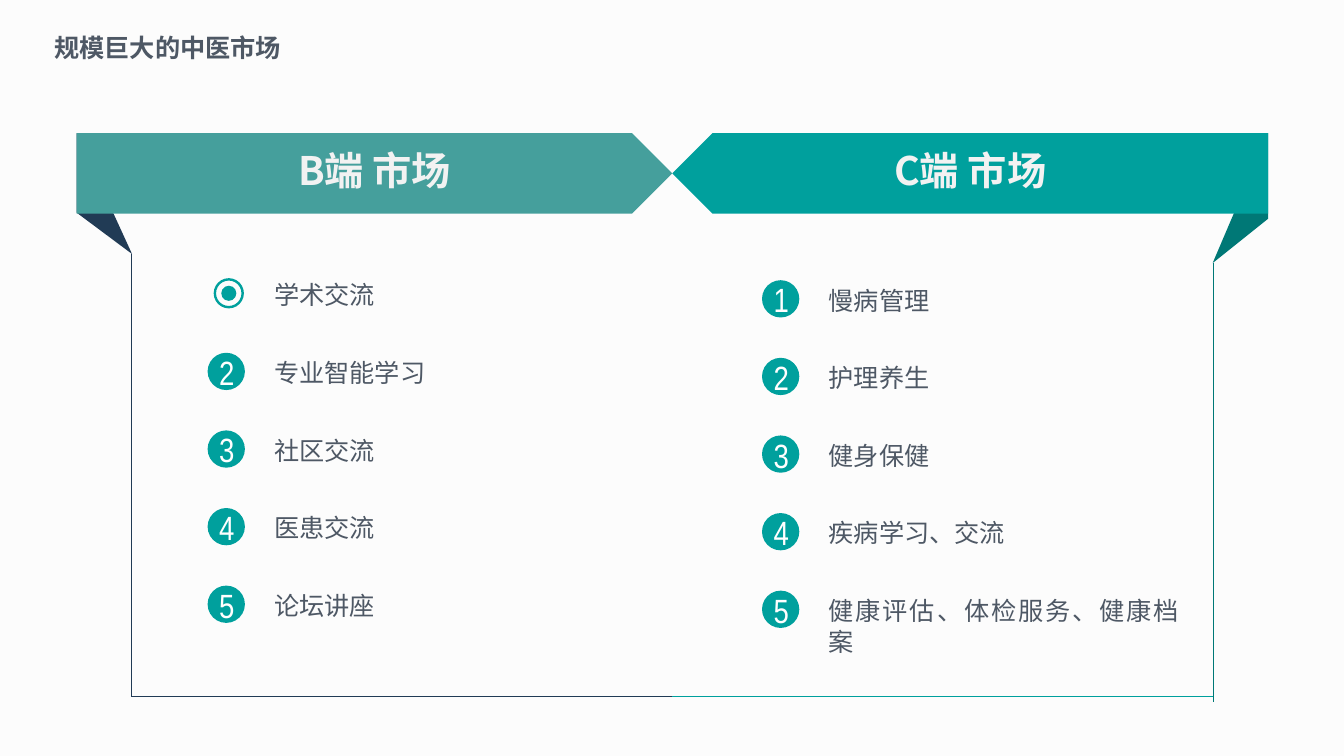
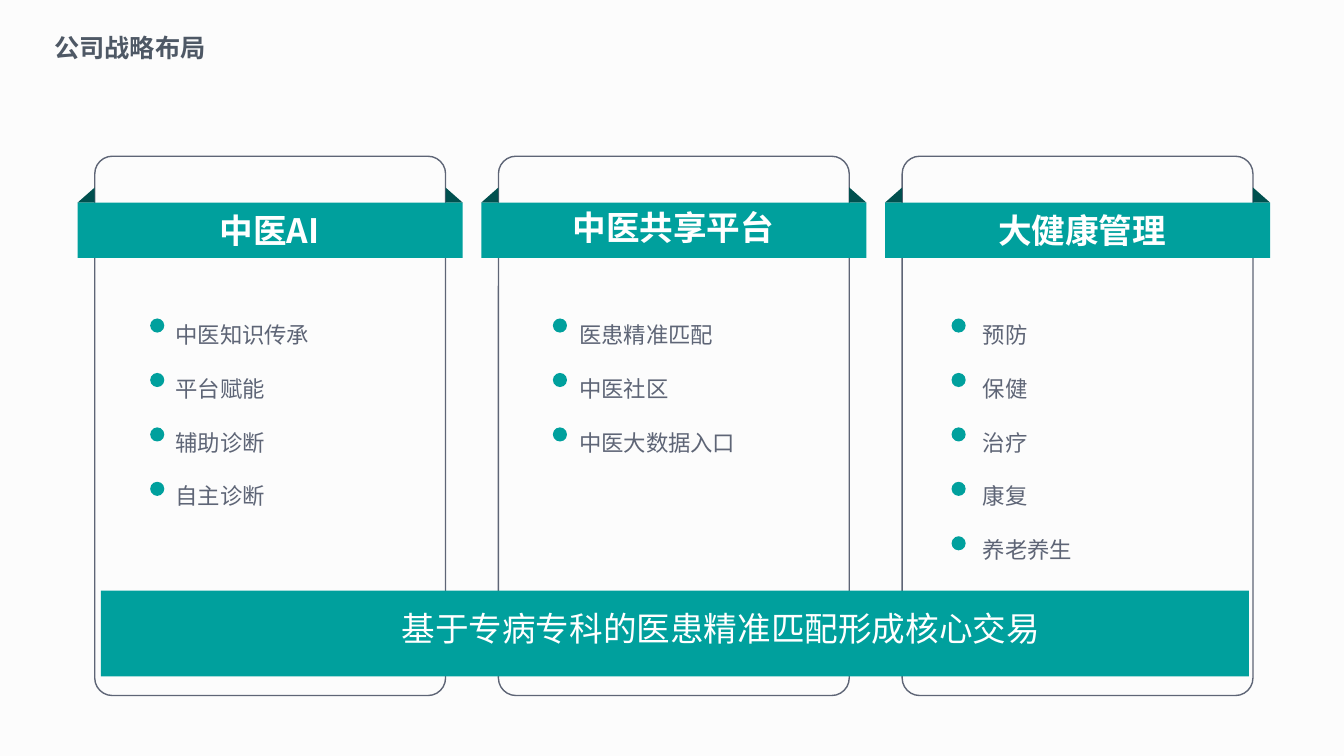
from collections import namedtuple

from lxml.etree import SubElement
from pptx import Presentation
from pptx.dml.color import RGBColor
from pptx.enum.shapes import MSO_CONNECTOR, MSO_SHAPE
from pptx.enum.text import MSO_AUTO_SIZE, PP_ALIGN
from pptx.oxml.ns import qn
from pptx.util import Inches, Pt

# Grid: square cells, 75 rows high
COLS, ROWS = 133.33, 75
CELL = Inches(0.1)

TEAL = RGBColor(0x00, 0xA0, 0x9D)
SAGE = RGBColor(0x45, 0x9F, 0x9C)
DEEP = RGBColor(0x00, 0x78, 0x76)
DARK = RGBColor(0x00, 0x50, 0x4F)
NAVY = RGBColor(0x21, 0x3B, 0x55)
INK = RGBColor(0x4E, 0x58, 0x65)
SLATE = RGBColor(0x5E, 0x65, 0x76)
PALE = RGBColor(0xF2, 0xF2, 0xF2)
MIST = RGBColor(0xFC, 0xFC, 0xFC)
WHITE = RGBColor(0xFF, 0xFF, 0xFF)

SANS = "Noto Sans CJK SC"
LEFT, MID, JUST = PP_ALIGN.LEFT, PP_ALIGN.CENTER, PP_ALIGN.JUSTIFY

Box = namedtuple("Box", "x y w h")
# Side: direction inwards, colours, fold depth and outer drop, list start
Side = namedtuple("Side", "turn fill fold rule tip foot end list_x list_y")


def cells(*sizes):
    return [int(size * CELL) for size in sizes]


def paint(shape, fill=None, line=None):
    shape.shadow.inherit = False
    if fill is None:
        shape.fill.background()
    else:
        shape.fill.solid()
        shape.fill.fore_color.rgb = fill
    if line is None:
        shape.line.fill.background()
    else:
        shape.line.color.rgb = line
        shape.line.width = Pt(1)
    return shape


def draw(slide, kind, x, y, w, h, fill=None, line=None):
    shape = slide.shapes.add_shape(kind, *cells(x, y, w, h))
    return paint(shape, fill, line)


def facet(slide, points, fill):
    first, *rest = [cells(*point) for point in points]
    maker = slide.shapes.build_freeform(*first)
    maker.add_line_segments(rest, close=True)
    paint(maker.convert_to_shape(), fill)


def rule(slide, x1, y1, x2, y2, color):
    line = slide.shapes.add_connector(MSO_CONNECTOR.STRAIGHT,
                                      *cells(x1, y1, x2, y2))
    line.line.color.rgb = color
    line.line.width = Pt(0.5)
    SubElement(line._element.spPr, qn("a:effectLst"))


def text(slide, x, y, w, h, *lines, size=18, color=INK, font=SANS,
         bold=False, align=LEFT, space=None, inset=(0, 0), wrap=True):
    box = slide.shapes.add_textbox(*cells(x, y, w, h))
    frame = box.text_frame
    frame.word_wrap = wrap
    frame.auto_size = MSO_AUTO_SIZE.SHAPE_TO_FIT_TEXT
    frame.margin_left = frame.margin_right = cells(inset[0])[0]
    frame.margin_top = frame.margin_bottom = cells(inset[1])[0]
    for i, words in enumerate(lines):
        para = frame.add_paragraph() if i else frame.paragraphs[0]
        para.alignment = align
        para.line_spacing = space
        run = para.add_run()
        run.text = words
        run.font.size = Pt(size)
        run.font.bold = bold
        run.font.color.rgb = color
        run.font.name = font
        SubElement(run._r.get_or_add_rPr(), qn("a:ea"), typeface=SANS)


def start(deck, title):
    slide = deck.slides.add_slide(deck.slide_layouts[6])
    text(slide, 4.4, 2.7, 24.7, 4, title, font="Arial", bold=True,
         inset=(1, 0.5), wrap=False)
    return slide


def badge(slide, x, y, mark):
    if mark:
        draw(slide, MSO_SHAPE.OVAL, x, y, 3.7, 3.7, TEAL)
        text(slide, x + 0.4, y - 0.1, 3, 4, mark, size=24, color=WHITE,
             font="Arial Narrow", align=MID)
    else:  # target icon
        x, y = x + 0.6, y + 0.3
        ring = draw(slide, MSO_SHAPE.DONUT, x, y, 3, 3, TEAL)
        ring.adjustments[0] = 0.08
        draw(slide, MSO_SHAPE.OVAL, x + 0.75, y + 0.75, 1.5, 1.5, TEAL)


def market(slide, box, side, head, marks, items):
    edge = box.x if side.turn > 0 else box.x + box.w
    inner = edge + side.turn * box.w
    wall = edge + side.turn * 5.45
    base = box.y + box.h

    # Folded corner and frame
    tip = edge + side.turn * 5.5, box.y + side.tip
    facet(slide, [(edge, box.y), tip, (edge, box.y + side.foot)], side.fold)
    rule(slide, wall, box.y + side.tip, wall, base + side.end, side.fold)
    rule(slide, wall, base, inner, base, side.rule)

    # Banner
    arrow = draw(slide, MSO_SHAPE.PENTAGON, box.x, box.y, box.w, 8, side.fill)
    arrow.rotation = 0 if side.turn > 0 else 180
    text(slide, box.x + (box.w - 20.2) / 2, box.y + 0.8, 20.2, 5.7, head,
         size=28, color=PALE, bold=True, align=MID, inset=(1, 0.5))

    # List
    x = box.x + side.list_x
    for i, (mark, item) in enumerate(zip(marks, items)):
        y = box.y + side.list_y + 7.7 * i
        badge(slide, x, y, mark)
        text(slide, x + 6.6, y + 0.4, 34.8, 2.9, item, align=JUST,
             space=Pt(22))


def card(slide, box, head, items, head_at, dot_x):
    right = box.x + box.w
    top = box.y + 4.6
    frame = draw(slide, MSO_SHAPE.ROUNDED_RECTANGLE, *box, line=SLATE)
    frame.adjustments[0] = 0.05

    # Ribbon with folded ears
    for side, out in ((box.x, -1.7), (right, 1.7)):
        facet(slide, [(side, top - 1.5), (side, top), (side + out, top)], DARK)
    draw(slide, MSO_SHAPE.RECTANGLE, box.x - 1.7, top, box.w + 3.4, 5.5, TEAL)
    dx, dy = head_at
    text(slide, box.x + dx, box.y + dy, 29.3, 4, head, size=24, color=WHITE,
         bold=True, align=MID)

    # Dotted list
    text(slide, box.x + 8, box.y + 13.7, 19.3, 5.4 * len(items), *items,
         size=16, color=SLATE, align=JUST, space=2.0)
    for i in range(len(items)):
        draw(slide, MSO_SHAPE.OVAL, box.x + dot_x, box.y + 16.1 + 5.4 * i,
             1.4, 1.4, TEAL)


def footer(slide, box, words):
    draw(slide, MSO_SHAPE.RECTANGLE, *box, TEAL)
    text(slide, box.x + 28.1, box.y + 2.2, 66.8, 3.5, words, size=24,
         color=WHITE, align=MID, space=Pt(25.2))


def markets(deck):
    slide = start(deck, "规模巨大的中医市场")
    half = Box(7.6, 13.2, 59.1, 55.9)
    market(slide, half,
           Side(1, SAGE, NAVY, NAVY, 12, 7.9, 0, 13, 14.1),
           "B端 市场", ["", *"2345"],
           ["学术交流", "专业智能学习", "社区交流", "医患交流", "论坛讲座"])
    market(slide, half._replace(x=half.x + half.w),
           Side(-1, TEAL, DEEP, TEAL, 12.9, 8.5, 0.5, 8.9, 14.6),
           "C端 市场", "12345",
           ["慢病管理", "护理养生", "健身保健", "疾病学习、交流",
            "健康评估、体检服务、健康档案"])


def layout(deck):
    slide = start(deck, "公司战略布局")
    plans = [
        ("中医AI", ["中医知识传承", "平台赋能", "辅助诊断", "自主诊断"],
         (2.7, 5.3), 5.5),
        ("中医共享平台", ["医患精准匹配", "中医社区", "中医大数据入口"],
         (2.7, 5), 5.4),
        ("大健康管理", ["预防", "保健", "治疗", "康复", "养老养生"],
         (3.2, 5.3), 4.9),
    ]
    for i, plan in enumerate(plans):
        card(slide, Box(9.4 + 40.05 * i, 15.5, 34.8, 53.5), *plan)
    footer(slide, Box(10, 58.6, 113.9, 8.5),
           "基于专病专科的医患精准匹配形成核心交易")


def main():
    deck = Presentation()
    deck.slide_width, deck.slide_height = cells(COLS, ROWS)

    # Shared backdrop
    fill = deck.slide_master.background.fill
    fill.gradient()
    fill.gradient_angle = 270
    for stop, color in zip(fill.gradient_stops, (MIST, WHITE)):
        stop.color.rgb = color

    markets(deck)
    layout(deck)
    deck.save("out.pptx")


if __name__ == "__main__":
    main()
